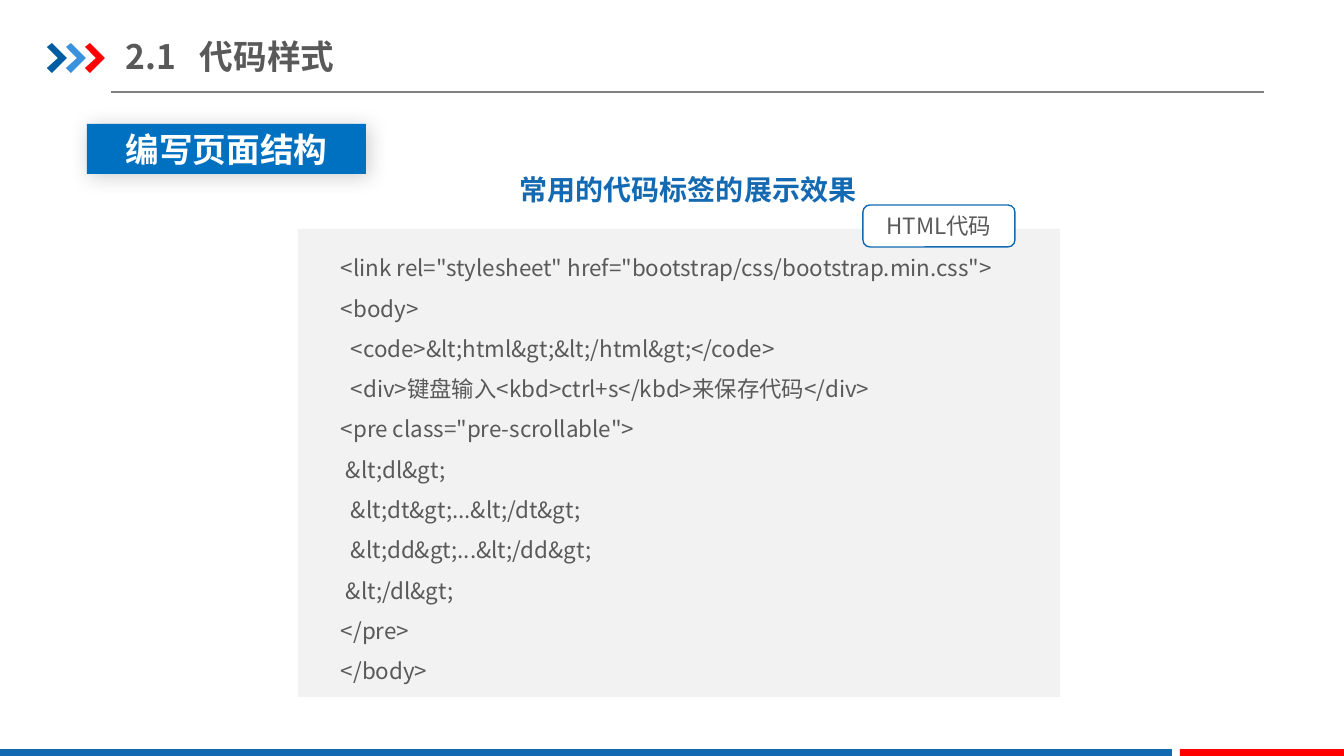
import pptx
import pptx.dml.color
import pptx.enum.shapes
import pptx.enum.text
import pptx.oxml
import pptx.oxml.ns
import pptx.util
import lxml.etree

PX = 12192000 / 1344  # EMU in one px
CJK_FONT = "Noto Sans CJK SC"
COLORS = {
    "blue": "1369B2", "banner": "0070C0", "red": "FF0000", "navy": "005DA2",
    "sky": "3992DB", "text": "595959", "rule": "808080", "panel": "F2F2F2",
    "white": "FFFFFF", "shadow": "000000",
}
SHAPES = pptx.enum.shapes.MSO_SHAPE
ALIGN = pptx.enum.text.PP_ALIGN
ANCHOR = pptx.enum.text.MSO_ANCHOR

# Each code line with its indent in spaces
CODE_LINES = [
    (0, '<link rel="stylesheet" href="bootstrap/css/bootstrap.min.css">'),
    (0, "<body>"),
    (2, "<code>&lt;html&gt;&lt;/html&gt;</code>"),
    (2, "<div>键盘输入<kbd>ctrl+s</kbd>来保存代码</div>"),
    (0, '<pre class="pre-scrollable">'),
    (1, "&lt;dl&gt;"),
    (2, "&lt;dt&gt;...&lt;/dt&gt;"),
    (2, "&lt;dd&gt;...&lt;/dd&gt;"),
    (1, "&lt;/dl&gt;"),
    (0, "</pre>"),
    (0, "</body>"),
]
SPACE_WIDTH = 5


def emu(px):
    return pptx.util.Emu(round(px * PX))


def rgb(name):
    return pptx.dml.color.RGBColor.from_string(COLORS[name])


def add_xml(parent, tag, **attributes):
    child = lxml.etree.SubElement(parent, pptx.oxml.ns.qn(tag))
    for name, value in attributes.items():
        child.set(name, str(value))
    return child


def paint(shape, fill, line=None):
    shape.shadow.inherit = False
    shape.fill.solid()
    shape.fill.fore_color.rgb = rgb(fill)
    if line:
        shape.line.color.rgb = rgb(line)
        shape.line.width = pptx.util.Pt(1)
    else:
        shape.line.fill.background()
    return shape


def add_block(page, kind, bounds, fill, line=None):
    shape = page.shapes.add_shape(kind, *map(emu, bounds))
    return paint(shape, fill, line)


def add_text_box(page, bounds):
    box = page.shapes.add_textbox(*map(emu, bounds))
    box.text_frame.word_wrap = True
    return box


def style(para, size, color, bold=False, align=ALIGN.LEFT, spacing=None, font=CJK_FONT):
    para.alignment = align
    if spacing:
        para.line_spacing = spacing
    para.font.size = pptx.util.Pt(size)
    para.font.bold = bold
    para.font.color.rgb = rgb(color)
    para.font.name = font
    add_xml(para.font._element, "a:ea", typeface=CJK_FONT)


def add_chevron(page, left, top, color):
    outline = [(0, 4), (5, 0), (20, 15), (5, 30), (0, 25), (11, 15)]
    points = [(left + x, top + y) for x, y in outline]
    builder = page.shapes.build_freeform(*points[0], scale=PX)
    builder.add_line_segments(points[1:], close=True)
    paint(builder.convert_to_shape(), color)


def add_rule(page, left, right, y):
    rule = page.shapes.add_connector(
        pptx.enum.shapes.MSO_CONNECTOR.STRAIGHT, emu(left), emu(y), emu(right), emu(y))
    rule.line.color.rgb = rgb("rule")
    rule.line.width = pptx.util.Pt(0.75)
    add_xml(rule._element.spPr, "a:effectLst")


def add_soft_shadow(shape):
    effects = shape._element.spPr.find(pptx.oxml.ns.qn("a:effectLst"))
    shadow = add_xml(effects, "a:outerShdw", blurRad=pptx.util.Pt(15),
                     dist=pptx.util.Pt(3), dir=45 * 60000, algn="tl", rotWithShape=0)
    color = add_xml(shadow, "a:srgbClr", val=COLORS["shadow"])
    add_xml(color, "a:alpha", val=20000)


def add_title(page, bounds, number, title, tab):
    frame = add_text_box(page, bounds).text_frame
    frame.margin_left = frame.margin_right = 0
    frame.margin_top = frame.margin_bottom = emu(7)
    frame.vertical_anchor = ANCHOR.MIDDLE
    para = frame.paragraphs[0]
    para.text = f"{number}\t{title}"
    tabs = add_xml(para._p.get_or_add_pPr(), "a:tabLst")
    add_xml(tabs, "a:tab", pos=emu(tab), algn="l")
    style(para, 24, "text", bold=True)


def add_code(page, bounds):
    frame = add_text_box(page, bounds).text_frame
    for number, (indent, line) in enumerate(CODE_LINES):
        para = frame.add_paragraph() if number else frame.paragraphs[0]
        para.text = line
        para._p.get_or_add_pPr().set("marL", str(emu(indent * SPACE_WIDTH)))
        style(para, 16, "text", spacing=1.5)


def add_label(shape, text, size, color, **options):
    para = shape.text_frame.paragraphs[0]
    para.text = text
    style(para, size, color, align=ALIGN.CENTER, **options)


def main():
    deck = pptx.Presentation()
    deck.slide_width, deck.slide_height = emu(1344), emu(756)
    page = deck.slides.add_slide(deck.slide_layouts[6])

    # Header and footer
    add_rule(page, 111, 1264, 92)
    for index, color in enumerate(["navy", "sky", "red"]):
        add_chevron(page, 47 + 19 * index, 43, color)
    add_block(page, SHAPES.RECTANGLE, (0, 749, 1172, 9), "blue")
    add_block(page, SHAPES.RECTANGLE, (1180, 749, 164, 9), "red")
    add_title(page, (126, 29, 429, 55), "2.1", "代码样式", 74)

    # Code panel with its tag
    add_block(page, SHAPES.RECTANGLE, (298, 229, 762, 468), "panel")
    add_code(page, (331, 236, 719, 458))
    tag = add_block(page, SHAPES.ROUNDED_RECTANGLE, (863, 205, 152, 42), "white", "blue")
    add_label(tag, "HTML代码", 16, "text")

    # Caption and section banner
    caption = add_text_box(page, (397, 151, 582, 55))
    add_label(caption, "常用的代码标签的展示效果", 20, "blue", bold=True, spacing=1.5)
    banner = add_block(page, SHAPES.RECTANGLE, (87, 124, 279, 50), "banner")
    add_soft_shadow(banner)
    add_label(banner, "编写页面结构", 24, "white", bold=True, font="Arial")

    deck.save("out.pptx")


if __name__ == "__main__":
    main()
